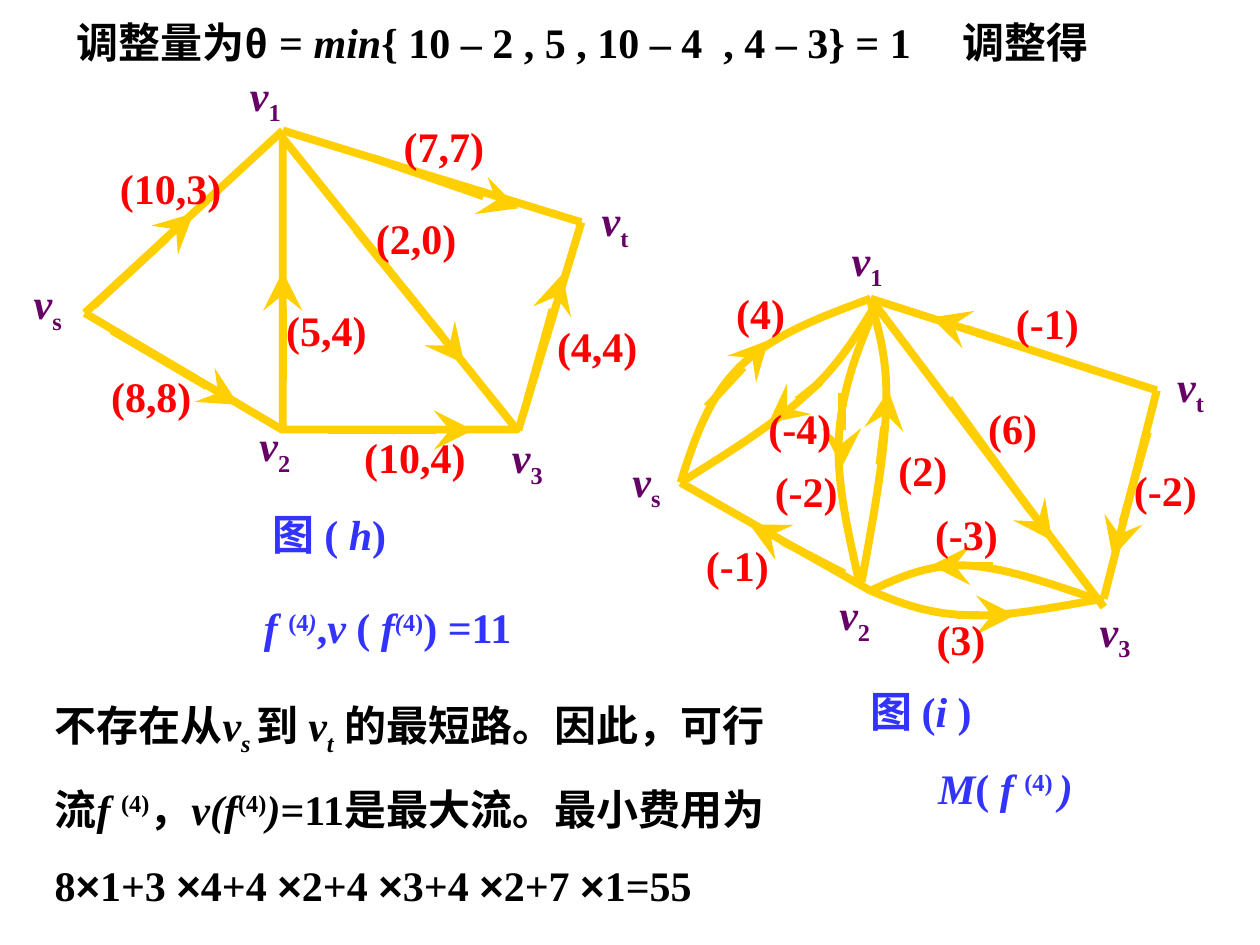
from pptx import Presentation
from pptx.dml.color import RGBColor
from pptx.enum.shapes import MSO_CONNECTOR, MSO_SHAPE
from pptx.enum.text import MSO_AUTO_SIZE
from pptx.oxml.ns import qn
from pptx.util import Cm, Pt
from lxml import etree

GOLD = RGBColor(0xFF, 0xCF, 0x01)
RED = RGBColor(0xFF, 0x00, 0x00)
BLUE = RGBColor(0x33, 0x33, 0xFF)
PURPLE = RGBColor(0x66, 0x00, 0x66)
BLACK = RGBColor(0x00, 0x00, 0x00)
LABEL_WIDTHS = {3: 1.5, 4: 1.78, 5: 2.13, 6: 2.57}  # by number of characters


def add_text(slide, x, y, w, h, paragraphs, color, spacing=None, wrap=False, tab=None):
    """Each run is (text, style): i italic, ^ superscript, _ subscript, A Arial."""
    box = slide.shapes.add_textbox(Cm(x), Cm(y), Cm(w), Cm(h))
    frame = box.text_frame
    frame.word_wrap = wrap
    frame.auto_size = MSO_AUTO_SIZE.SHAPE_TO_FIT_TEXT
    for index, runs in enumerate(paragraphs):
        paragraph = frame.add_paragraph() if index else frame.paragraphs[0]
        if tab:
            tabs = etree.SubElement(paragraph._p.get_or_add_pPr(), qn("a:tabLst"))
            etree.SubElement(tabs, qn("a:tab"), pos=str(Cm(tab)), algn="l")
        if spacing:
            paragraph.line_spacing = spacing
        if index:
            paragraph.space_before = Pt(15)
        for text, style in runs:
            run = paragraph.add_run()
            run.text = text
            font = run.font
            font.name = "Arial" if "A" in style else "Times New Roman"
            font.size, font.bold, font.italic = Pt(24), True, "i" in style
            font.color.rgb = color
            if "^" in style or "_" in style:
                baseline = "30000" if "^" in style else "-25000"
                run._r.get_or_add_rPr().set("baseline", baseline)


def style_line(line):
    line.color.rgb = GOLD
    line.width = Pt(4.5)


def add_edge(slide, box, start, end, arrow=False):
    left, top = box
    edge = slide.shapes.add_connector(
        MSO_CONNECTOR.STRAIGHT, Cm(left + start[0]), Cm(top + start[1]),
        Cm(left + end[0]), Cm(top + end[1]))
    style_line(edge.line)
    if arrow:
        etree.SubElement(edge.line._get_or_add_ln(), qn("a:tailEnd"),
                         type="stealth", w="lg", len="lg")
    etree.SubElement(edge._element.spPr, qn("a:effectLst"))


def add_curve(slide, box, controls):
    """Draw a chain of cubic segments: start, then three points per segment."""
    placed = [(Cm(box[0] + x), Cm(box[1] + y)) for x, y in controls]
    builder = slide.shapes.build_freeform(*placed[0])
    builder.add_line_segments(placed[1:], close=False)
    curve = builder.convert_to_shape()
    # Merge every three straight segments into one cubic segment
    segments = list(curve._element.iter(qn("a:lnTo")))
    for i in range(0, len(segments), 3):
        cubic = segments[i]
        for follower in segments[i + 1:i + 3]:
            cubic.append(follower[0])
            follower.getparent().remove(follower)
        cubic.tag = qn("a:cubicBezTo")
    curve.shadow.inherit = False
    curve.fill.background()
    style_line(curve.line)


def add_labels(slide, box, weights, names, name_width):
    left, top = box
    for text, x, y in weights:
        add_text(slide, left + x, top + y, LABEL_WIDTHS[len(text)], 1.07,
                 [[(text, "")]], RED, 0.8)
    for index, x, y in names:
        add_text(slide, left + x, top + y, name_width, 1.42,
                 [[("v", "i"), (index, "_")]], PURPLE, wrap=True)


def add_flow_graph(slide, box):
    """Network (h): capacities and flows."""
    left, top = box
    s, v1, v2, v3, t = (1.3, 5.1), (5.29, 1.42), (5.29, 7.46), (10.04, 7.46), (11.31, 3.27)
    for start, end in ((v3, t), (v1, t), (s, v2), (v1, s)):
        add_edge(slide, box, start, end)
    # Inner triangle v1 v2 v3
    triangle = slide.shapes.add_shape(
        MSO_SHAPE.RIGHT_TRIANGLE, Cm(left + v1[0]), Cm(top + 1.57), Cm(4.72), Cm(5.88))
    triangle.shadow.inherit = False
    triangle.fill.background()
    style_line(triangle.line)
    # Direction arrows
    for start, end in (
            ((1.48, 4.95), (3.49, 3.09)), ((6.2, 7.46), (9.13, 7.46)),
            ((5.29, 6.45), (5.29, 4.26)), ((1.84, 5.45), (4.4, 6.95)),
            ((10.22, 6.85), (10.93, 4.31)), ((7.12, 1.98), (10.04, 2.99)),
            ((6.76, 3.42), (8.95, 6.12))):
        add_edge(slide, box, start, end, arrow=True)
    add_labels(
        slide, box,
        [("(8,8)", 1.58, 6.34), ("(10,4)", 6.68, 7.57), ("(4,4)", 10.57, 5.33),
         ("(2,0)", 6.92, 3.15), ("(7,7)", 7.48, 1.3), ("(10,3)", 1.76, 2.14),
         ("(5,4)", 5.11, 5)],
        [("1", 4.38, 0.06), ("s", 0.02, 4.26), ("2", 4.57, 7.13), ("3", 9.66, 7.37),
         ("t", 11.47, 2.59)], 1.45)
    # Captions
    add_text(slide, left + 4.84, top + 9.12, 3, 1.07,
             [[("图 ( ", ""), ("h", "i"), (")", "")]], BLUE, 0.8)
    add_text(slide, left + 4.66, top + 10.49, 5.56, 1.57,
             [[("f ", "i"), ("(4", "^"), (")", "i^"), (",", ""), ("v ", "i"), ("(", ""),
               (" f", "i"), ("(", "i^"), ("4)", "^"), (") =11", "")]], BLUE, 1.3)


def add_residual_graph(slide, box):
    """Network (i): residual costs."""
    left, top = box
    s, v1, v2, v3, t = (1.22, 5.13), (5.05, 1.42), (5.05, 7.31), (9.75, 7.47), (10.82, 3.27)
    for start, end in ((v1, t), (s, v2), (v1, (9.75, 7.64)), (t, v3)):
        add_edge(slide, box, start, end)
    # Paired curved edges
    for controls in (
            [(5.23, 1.42), (4.82, 2.08), (4.44, 2.74), (3.76, 3.35), (3.1, 3.96), (2.16, 4.54), s],
            [v1, (4.06, 1.78), (3.07, 2.16), (2.44, 2.77), (1.8, 3.38), (1.5, 4.24), s],
            [(5.03, 1.42), (5.23, 2.08), (5.41, 2.72), (5.36, 3.68), (5.33, 4.62), (5.1, 5.89),
             (4.87, 7.13)],
            [(5.23, 1.42), (4.85, 2.28), (4.49, 3.15), (4.42, 4.11), (4.34, 5.05), (4.59, 6.09),
             (4.82, 7.13)],
            [v2, (5.64, 7.03), (6.22, 6.78), (6.96, 6.8), (7.72, 6.83), (8.66, 7.16),
             (9.57, 7.47)],
            [v2, (5.61, 7.54), (6.17, 7.77), (6.96, 7.8), (7.74, 7.85), (8.76, 7.64), v3]):
        add_curve(slide, box, controls)
    # Direction arrows
    for start, end in (
            ((1.75, 3.6), (2.99, 2.26)), ((5.23, 4.77), (5.41, 3.27)),
            ((7.52, 6.8), (6.27, 6.8)), ((4.04, 3.1), (2.99, 3.93)),
            ((7.85, 2.31), (6.27, 1.8)), ((6.8, 7.8), (7.97, 7.8)),
            ((4.47, 3.32), (4.47, 4.82)), ((4.52, 6.96), (2.61, 5.97)),
            ((10.64, 4.11), (9.93, 6.63)), ((6.63, 3.43), (8.71, 6.3))):
        add_edge(slide, box, start, end, arrow=True)
    add_labels(
        slide, box,
        [("(-1)", 1.48, 6.35), ("(3)", 6.13, 7.83), ("(-2)", 10.11, 4.83), ("(6)", 7.17, 3.58),
         ("(-1)", 7.73, 1.47), ("(4)", 2.09, 1.27), ("(2)", 5.36, 4.44), ("(-4)", 2.74, 3.58),
         ("(-2)", 2.87, 4.85), ("(-3)", 6.1, 5.72)],
        [("1", 4.42, 0), ("s", 0, 4.45), ("2", 4.17, 7.14), ("3", 9.42, 7.48),
         ("t", 10.98, 2.54)], 1.93)
    # Captions
    add_text(slide, left + 4.79, top + 9.29, 2.77, 1.07,
             [[("图 (", ""), ("i ", "i"), (")", "")]], BLUE, 0.8)
    add_text(slide, left + 6.16, top + 10.34, 3.23, 1.57,
             [[("M", "i"), ("( ", ""), ("f ", "i"), ("(4) ", "^"), (")", "i")]], BLUE, 1.3)


def add_heading(slide, box):
    add_text(slide, *box, 22.81, 1.27,
             [[("调整量为", ""), ("θ ", "A"), ("= ", ""), ("min", "i"),
               ("{ 10 – 2 , 5 , 10 – 4  , 4 – 3} = 1\t调整得", "")]],
             BLACK, wrap=True, tab=17.85)


def add_conclusion(slide, box):
    cost = [("8", "")]
    for term in ("1+3 ", "4+4 ", "2+4 ", "3+4 ", "2+7 ", "1=55"):
        cost += [("×", "A"), (term, "")]
    add_text(slide, *box, 15.67, 5.51, [
        [("不存在从", ""), ("v", "i"), ("s ", "i_"), ("到 ", ""), ("v", "i"), ("t", "i_"),
         (" 的最短路。因此，可行", "")],
        [("流", ""), ("f ", "i"), ("(4)", "^"), ("，", ""), ("v(f", "i"), ("(4)", "^"),
         (")", "i"), ("=11是最大流。最小费用为", "")],
        cost], BLACK, wrap=True)


def main():
    deck = Presentation()
    deck.slide_width, deck.slide_height = Cm(25.4), Cm(19.05)
    slide = deck.slides.add_slide(deck.slide_layouts[6])
    add_flow_graph(slide, (0.41, 1.21))
    add_heading(slide, (1.3, 0.2))
    add_conclusion(slide, (0.85, 13.98))
    add_residual_graph(slide, (12.5, 4.6))
    deck.save("out.pptx")


if __name__ == "__main__":
    main()
